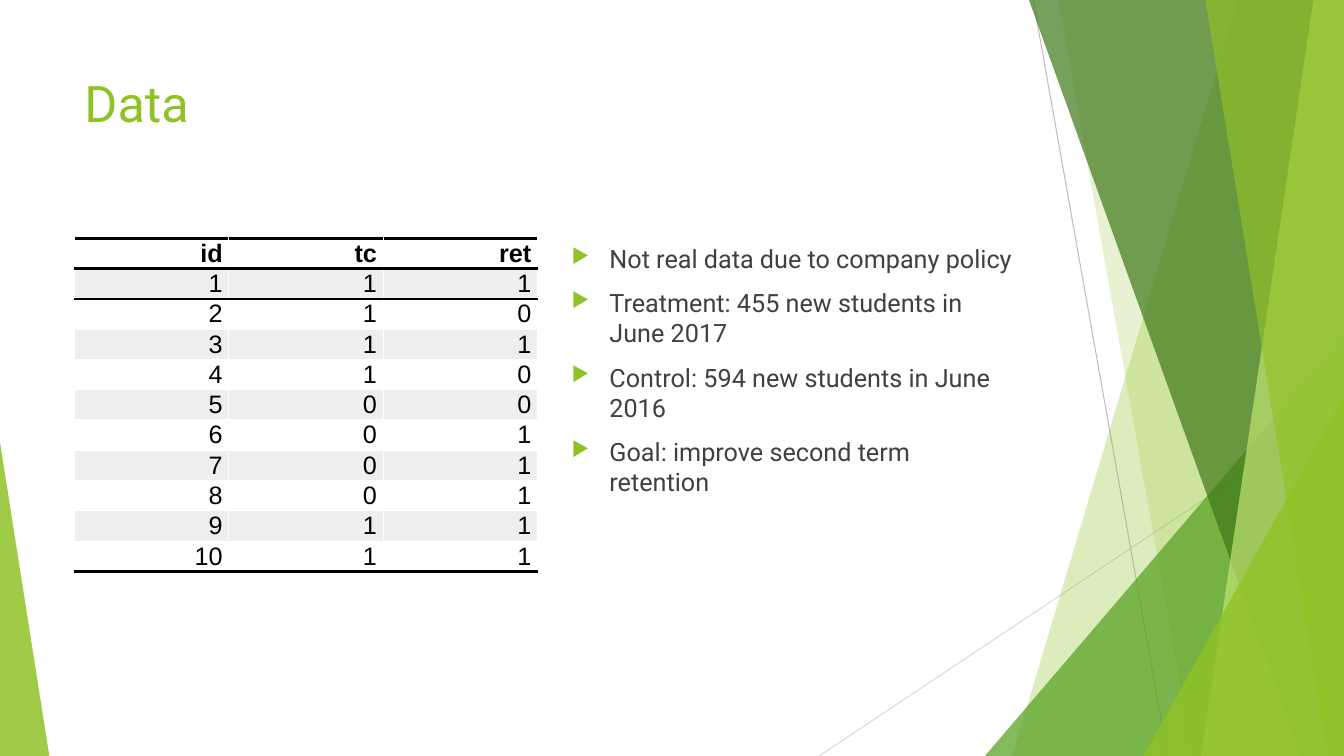
from lxml.etree import SubElement as Sub
from pptx import Presentation
from pptx.dml.color import RGBColor as RGB
from pptx.enum.shapes import MSO_CONNECTOR as Conn, MSO_SHAPE as Shape
from pptx.enum.text import MSO_ANCHOR as Anchor, PP_ALIGN as Align
from pptx.oxml.ns import qn
from pptx.util import Pt

PX = 9525
WIDE, HIGH = 1280, 720
LIME, BLACK = "90C226", "000000"

TITLE = "Data"
HEAD = ("id", "tc", "ret")
ROWS = [
    (1, 1, 1), (2, 1, 0), (3, 1, 1), (4, 1, 0), (5, 0, 0),
    (6, 0, 1), (7, 0, 1), (8, 0, 1), (9, 1, 1), (10, 1, 1),
]
POINTS = [
    "Not real data due to company policy",
    "Treatment: 455 new students in June 2017",
    "Control: 594 new students in June 2016",
    "Goal: improve second term retention",
]
LINES = [((984, 0, 1112, 720), "BFBFBF"), ((1280, 387, 780, 720), "D9D9D9")]
BANDS = [
    ("band", (1179, 964), LIME, 30),
    ("band", (1008, 1136), LIME, 20),
    ("peak", (938, 320, 342, 400, 1), "54A021", 72),
    ("band", (980, 1239), "3F7819", 70),
    ("band", (1251, 1144), "C0E474", 70),
    ("band", (1148, 1265), LIME, 65),
    ("peak", (1089, 377, 191, 343, 1), LIME, 80),
    ("peak", (0, 421, 47, 299, 0), LIME, 85),
]
GRID = (71, 227, 147, 27)


def emu(*nums):
    return [n * PX for n in nums]


def tint(code):
    return RGB.from_string(code)


def paint(shape, code, alpha):
    shape.shadow.inherit = False
    shape.fill.solid()
    shape.fill.fore_color.rgb = tint(code)
    shape.line.fill.background()
    clr = shape.fill._xPr.find(qn("a:solidFill"))[0]
    Sub(clr, qn("a:alpha"), val=str(alpha * 1000))


def write(para, text, size=18, font="Roboto", color="404040", bold=False,
          align=Align.LEFT, before=0, mark=None):
    if mark:
        props = para._p.get_or_add_pPr()
        props.set("marL", str(36 * PX))
        props.set("indent", str(-36 * PX))
        Sub(Sub(props, qn("a:buClr")), qn("a:srgbClr"), val=LIME)
        Sub(props, qn("a:buSzPct"), val="80000")
        Sub(props, qn("a:buChar"), char=mark)
    para.alignment = align
    para.space_before = Pt(before)
    run = para.add_run()
    run.text = text
    run.font.size = Pt(size)
    run.font.name = font
    run.font.bold = bold
    run.font.color.rgb = tint(color)


def frame(slide, *box):
    text = slide.shapes.add_textbox(*emu(*box)).text_frame
    text.word_wrap = True
    return text


def edge(cell, tags):
    props = cell._tc.get_or_add_tcPr()
    for spot, tag in enumerate(("a:lnT", "a:lnB")):
        if tag in tags:
            line = props.makeelement(qn(tag), {"w": str(Pt(2))})
            props.insert(spot, line)
            Sub(Sub(line, qn("a:solidFill")), qn("a:srgbClr"), val=BLACK)


def draw_back(slide):
    for ends, code in LINES:
        line = slide.shapes.add_connector(Conn.STRAIGHT, *emu(*ends))
        line.line.color.rgb = tint(code)
        line.line.width = Pt(0.75)
        Sub(line._element.spPr, qn("a:effectLst"))
    for kind, geom, code, alpha in BANDS:
        if kind == "band":
            top, base = geom
            pen = slide.shapes.build_freeform(top, 0, scale=PX)
            pen.add_line_segments([(WIDE, 0), (WIDE, HIGH), (base, HIGH)])
            shape = pen.convert_to_shape()
        else:
            *box, tip = geom
            shape = slide.shapes.add_shape(Shape.ISOSCELES_TRIANGLE, *emu(*box))
            shape.adjustments[0] = tip
        paint(shape, code, alpha)


def draw_table(slide):
    left, top, wide, high = GRID
    data = [HEAD] + ROWS
    rows, cols = len(data), len(HEAD)
    box = emu(left, top, wide * cols, high * rows)
    table = slide.shapes.add_table(rows, cols, *box).table
    for col in table.columns:
        col.width = wide * PX
    for i, vals in enumerate(data):
        table.rows[i].height = high * PX
        tags = {0: ("a:lnT", "a:lnB"), 1: ("a:lnT",), rows - 1: ("a:lnB",)}.get(i, ())
        for j, val in enumerate(vals):
            cell = table.cell(i, j)
            cell.margin_left = cell.margin_top = cell.margin_bottom = 0
            cell.margin_right = 6 * PX
            cell.vertical_anchor = Anchor.MIDDLE
            cell.fill.solid()
            cell.fill.fore_color.rgb = tint("EEEEEE" if i % 2 else "FFFFFF")
            edge(cell, tags)
            write(cell.text_frame.paragraphs[0], str(val), font="Arial",
                  color=BLACK, bold=i == 0, align=Align.RIGHT)


def main():
    deck = Presentation()
    deck.slide_width, deck.slide_height = emu(WIDE, HIGH)
    slide = deck.slides.add_slide(deck.slide_layouts[6])
    draw_back(slide)
    write(frame(slide, 71, 64, 902, 138).paragraphs[0], TITLE, size=36, color=LIME)
    draw_table(slide)
    body = frame(slide, 535, 227, 440, 407)
    for i, text in enumerate(POINTS):
        para = body.add_paragraph() if i else body.paragraphs[0]
        write(para, text, before=10 if i else 0, mark="▶")
    deck.save("out.pptx")


if __name__ == "__main__":
    main()
